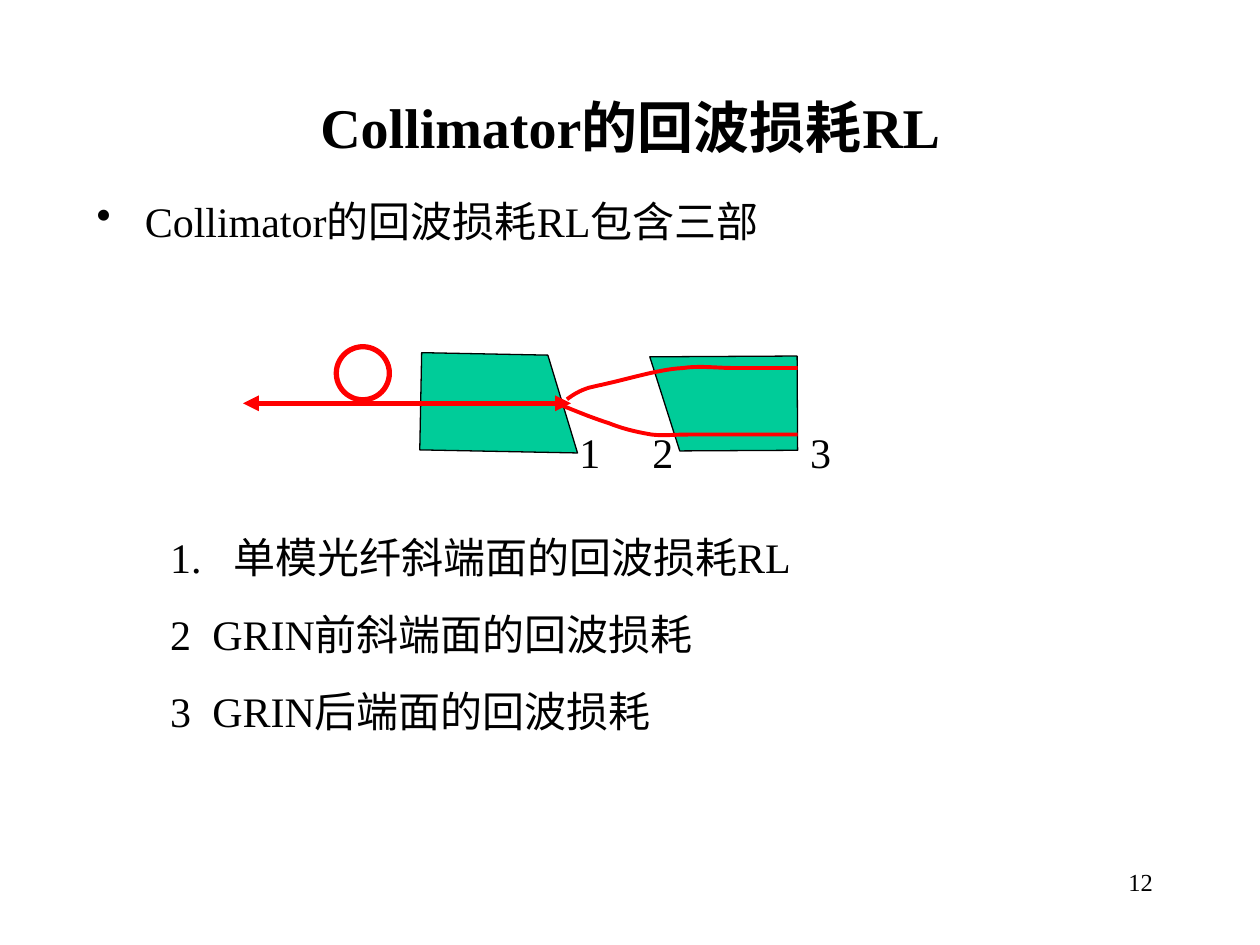
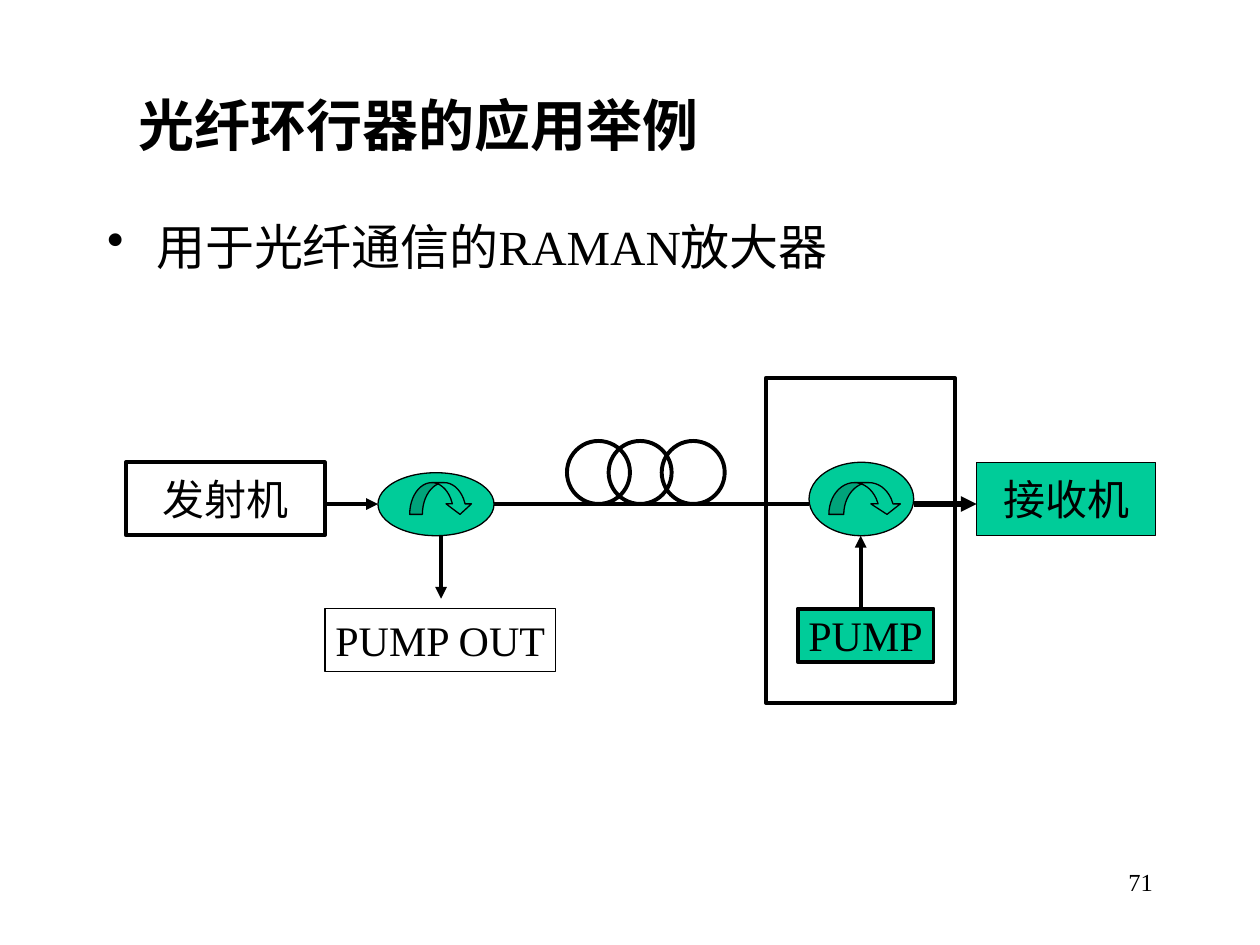
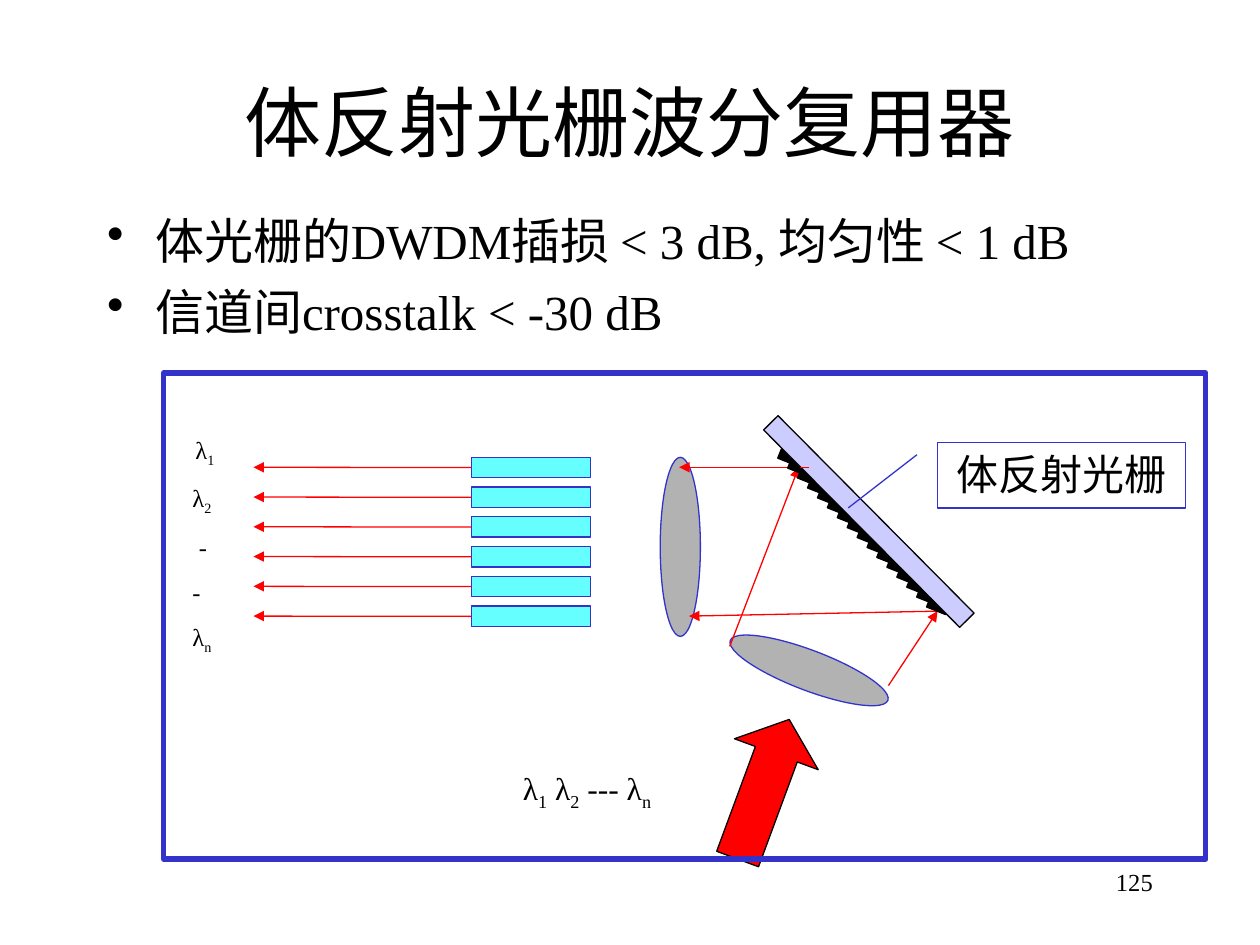
from dataclasses import dataclass

from lxml import etree
from pptx import Presentation
from pptx.dml.color import RGBColor
from pptx.enum.lang import MSO_LANGUAGE_ID
from pptx.enum.shapes import MSO_CONNECTOR, MSO_SHAPE
from pptx.enum.text import MSO_ANCHOR, PP_ALIGN
from pptx.oxml.ns import qn
from pptx.shapes.autoshape import Shape
from pptx.shapes.connector import Connector
from pptx.slide import Slide
from pptx.util import Cm, Pt

RECTANGLE = MSO_SHAPE.RECTANGLE
ELLIPSE = MSO_SHAPE.OVAL
SLANTED_BLOCK = MSO_SHAPE.FLOWCHART_MANUAL_INPUT
TURN_ARROW = MSO_SHAPE.CURVED_DOWN_ARROW
BLOCK_ARROW = MSO_SHAPE.RIGHT_ARROW
CALLOUT = MSO_SHAPE.LINE_CALLOUT_1
TOOTH = MSO_SHAPE.RIGHT_TRIANGLE
STRAIGHT = MSO_CONNECTOR.STRAIGHT
LEFT, CENTER, RIGHT = PP_ALIGN.LEFT, PP_ALIGN.CENTER, PP_ALIGN.RIGHT
TOP, MIDDLE = MSO_ANCHOR.TOP, MSO_ANCHOR.MIDDLE
CHINESE = MSO_LANGUAGE_ID.SIMPLIFIED_CHINESE
LEFT_SIDE = 1

Point = tuple[float, float]


# Theme and building blocks; lengths are centimetres, type and lines are points
@dataclass(frozen=True)
class Theme:
    font: str = "Times New Roman"
    black: str = "000000"
    red: str = "FF0000"
    green: str = "00CC99"
    blue: str = "3333CC"
    cyan: str = "66FFFF"
    lilac: str = "CCCCFF"
    grey: str = "B2B2B2"
    big_title: float = 44
    title: float = 32
    bullet: float = 28
    body: float = 24
    formula: float = 18
    small: float = 14
    thin: float = 0.75
    medium: float = 2.25
    thick: float = 3


THEME = Theme()


@dataclass(frozen=True)
class Box:
    x: float
    y: float
    w: float
    h: float


@dataclass(frozen=True)
class Para:
    """One paragraph; an underscore makes the next character a subscript."""
    text: str
    size: float = THEME.body
    bold: bool = False
    align: PP_ALIGN = LEFT
    before: float = 0
    indent: float = 0
    hang: float = 0
    bullet: bool = False


@dataclass(frozen=True)
class Figure:
    kind: MSO_SHAPE
    box: Box
    fill: str | None = None
    line: str = THEME.black
    weight: float = THEME.thin
    rotation: float = 0
    adjustments: tuple[float, ...] = ()
    label: str = ""
    anchor: MSO_ANCHOR = MIDDLE


@dataclass(frozen=True)
class Line:
    start: Point
    end: Point
    color: str = THEME.black
    weight: float = THEME.medium
    head: bool = False
    tail: bool = False


def add_span(para, text: str, source: Para, subscript: bool) -> None:
    if not text:
        return
    span = para.add_run()
    span.text = text
    formats = {"name": THEME.font, "size": Pt(source.size),
               "bold": source.bold, "language_id": CHINESE}
    for name, value in formats.items():
        setattr(span.font, name, value)
    span.font.color.rgb = RGBColor.from_string(THEME.black)
    if subscript:
        span._r.get_or_add_rPr().set("baseline", "-25000")


def write(frame, paras: list[Para], anchor: MSO_ANCHOR = TOP,
          wrap: bool = True, top_inset: float = 0.13) -> None:
    formats = {"word_wrap": wrap, "vertical_anchor": anchor,
               "margin_left": Cm(0.25), "margin_right": Cm(0.25),
               "margin_top": Cm(top_inset), "margin_bottom": Cm(0.13)}
    for name, value in formats.items():
        setattr(frame, name, value)
    for index, source in enumerate(paras):
        para = frame.add_paragraph() if index else frame.paragraphs[0]
        properties = para._p.get_or_add_pPr()
        properties.set("marL", str(Cm(source.indent + source.hang)))
        properties.set("indent", str(-Cm(source.hang)))
        if source.bullet:
            etree.SubElement(properties, qn("a:buChar")).set("char", "•")
        para.alignment = source.align
        para.space_before = Pt(source.before if index else 0)
        first, *others = source.text.split("_")
        add_span(para, first, source, False)
        for piece in others:
            add_span(para, piece[0], source, True)
            add_span(para, piece[1:], source, False)


def add_text(page: Slide, box: Box, paras: list[Para],
             anchor: MSO_ANCHOR = TOP, top_inset: float = 0.13) -> None:
    text_box = page.shapes.add_textbox(Cm(box.x), Cm(box.y), Cm(box.w), Cm(box.h))
    write(text_box.text_frame, paras, anchor, top_inset=top_inset)


def paint(shape: Shape, fill: str | None, line: str, weight: float) -> None:
    shape.shadow.inherit = False
    if fill:
        shape.fill.solid()
        shape.fill.fore_color.rgb = RGBColor.from_string(fill)
    else:
        shape.fill.background()
    shape.line.color.rgb = RGBColor.from_string(line)
    shape.line.width = Pt(weight)


def draw_figure(page: Slide, figure: Figure) -> Shape:
    box = figure.box
    shape = page.shapes.add_shape(figure.kind, Cm(box.x), Cm(box.y), Cm(box.w), Cm(box.h))
    paint(shape, figure.fill, figure.line, figure.weight)
    shape.rotation = figure.rotation
    for index, value in enumerate(figure.adjustments):
        shape.adjustments[index] = value
    if figure.label:
        write(shape.text_frame, [Para(figure.label, align=CENTER)], figure.anchor, wrap=False)
    return shape


def draw_line(page: Slide, line: Line) -> Connector:
    connector = page.shapes.add_connector(
        STRAIGHT, *(Cm(value) for value in (*line.start, *line.end)))
    connector.line.color.rgb = RGBColor.from_string(line.color)
    connector.line.width = Pt(line.weight)
    outline = connector.line._get_or_add_ln()
    for tag, shown in (("a:headEnd", line.head), ("a:tailEnd", line.tail)):
        if shown:
            etree.SubElement(outline, qn(tag)).set("type", "triangle")
    etree.SubElement(connector._element.spPr, qn("a:effectLst"))
    return connector


def draw_curve(page: Slide, points: list[Point], steps: int = 10) -> None:
    """Trace joined cubic curves: a start point, then three points a curve."""
    traced = []
    for first in range(0, len(points) - 1, 3):
        for step in range(1, steps + 1):
            t = step / steps
            weights = ((1 - t) ** 3, 3 * t * (1 - t) ** 2, 3 * t * t * (1 - t), t ** 3)
            corners = points[first:first + 4]
            traced.append(tuple(
                Cm(sum(weight * corner[axis] for weight, corner in zip(weights, corners)))
                for axis in (0, 1)))
    builder = page.shapes.build_freeform(Cm(points[0][0]), Cm(points[0][1]))
    builder.add_line_segments(traced, close=False)
    paint(builder.convert_to_shape(), None, THEME.red, THEME.medium)


def new_page(deck, number: int, title: Para, title_box: Box,
             anchor: MSO_ANCHOR = MIDDLE) -> Slide:
    page = deck.slides.add_slide(deck.slide_layouts[6])
    add_text(page, Box(18.21, 17.35, 5.28, 1.27),
             [Para(str(number), THEME.small, align=RIGHT)])
    add_text(page, title_box, [title], anchor)
    return page


# Return loss of a collimator
def build_collimator(deck) -> None:
    page = new_page(deck, 12, Para("Collimator的回波损耗RL", THEME.title, True, CENTER),
                    Box(1.91, 1.7, 21.59, 1.7))
    add_text(page, Box(1.7, 3.81, 21.59, 1.27),
             [Para("Collimator的回波损耗RL包含三部", hang=0.97, bullet=True)])

    # Fibre, its loop and the lens
    draw_figure(page, Figure(SLANTED_BLOCK, Box(9.09, 6.53, 1.96, 3.18),
                             THEME.green, rotation=91.1))
    draw_line(page, Line((4.9, 8.13), (11.51, 8.13), THEME.red, THEME.thick, True, True))
    draw_figure(page, Figure(ELLIPSE, Box(6.78, 6.99, 1.07, 1.07),
                             line=THEME.red, weight=THEME.thick))
    draw_figure(page, Figure(SLANTED_BLOCK, Box(13.64, 6.65, 1.9, 2.97),
                             THEME.green, rotation=269.7))

    # Upper and lower edge of the beam
    draw_curve(page, [(11.43, 8.05), (11.53, 7.98), (11.63, 7.9), (11.86, 7.82),
                      (12.07, 7.77), (12.4, 7.7), (12.7, 7.62),
                      (13.03, 7.54), (13.41, 7.44), (13.77, 7.42),
                      (14.12, 7.37), (14.43, 7.42), (14.81, 7.42),
                      (15.21, 7.42), (15.88, 7.42), (16.08, 7.42)])
    draw_curve(page, [(11.23, 8.13), (11.58, 8.28), (11.96, 8.43), (12.27, 8.53),
                      (12.6, 8.66), (12.85, 8.71), (13.13, 8.76),
                      (13.41, 8.79), (13.49, 8.76), (13.97, 8.76),
                      (14.45, 8.76), (15.72, 8.76), (16.08, 8.76)])

    # Face numbers and their key
    for number, x, width in (("1", 11.43, 0.84), ("2", 12.9, 1.27), ("3", 16.08, 1.27)):
        add_text(page, Box(x, 8.46, width, 1.27), [Para(number)])
    add_text(page, Box(3.18, 10.59, 17.58, 5.66), [
        Para("1.\t单模光纤斜端面的回波损耗RL", hang=1.27),
        Para("2\tGRIN前斜端面的回波损耗", before=15, hang=0.85),
        Para("3\tGRIN后端面的回波损耗", before=15, hang=0.85)])


# Circulators in a Raman amplifier
def build_amplifier(deck) -> None:
    page = new_page(deck, 71, Para("光纤环行器的应用举例", THEME.title, True),
                    Box(2.54, 1.7, 13.97, 1.63), TOP)
    add_text(page, Box(1.91, 4.24, 15.67, 1.45),
             [Para("用于光纤通信的RAMAN放大器", THEME.bullet, hang=0.99, bullet=True)])

    # Fibre span with its coil, and the signal and pump paths
    for x in (11.43, 12.27, 13.34):
        draw_figure(page, Figure(ELLIPSE, Box(x, 8.89, 1.27, 1.27), weight=THEME.medium))
    axis = 10.16
    for line in (
            Line((9.73, axis), (16.31, axis)),
            Line((6.55, axis), (7.62, axis), tail=True),
            Line((18.42, axis), (19.69, axis), weight=THEME.thick, tail=True),
            Line((8.89, 10.8), (8.89, 12.07), tail=True),
            Line((17.35, 12.27), (17.35, 10.8), tail=True)):
        draw_line(page, line)

    # Circulators, stations and the amplifier frame
    for figure in (
            Figure(ELLIPSE, Box(16.31, 9.32, 2.11, 1.48), THEME.green),
            Figure(TURN_ARROW, Box(16.71, 9.73, 1.47, 0.64), THEME.green,
                   adjustments=(0.47, 0.93, 0.33)),
            Figure(ELLIPSE, Box(7.62, 9.53, 2.34, 1.27), THEME.green),
            Figure(TURN_ARROW, Box(8.26, 9.73, 1.27, 0.64), THEME.green,
                   adjustments=(0.4, 0.8, 0.33)),
            Figure(RECTANGLE, Box(2.54, 9.32, 4.01, 1.47), weight=THEME.medium,
                   label="发射机"),
            Figure(RECTANGLE, Box(19.69, 9.32, 3.61, 1.47), THEME.green, label="接收机"),
            Figure(RECTANGLE, Box(16.08, 12.27, 2.74, 1.07), THEME.green,
                   weight=THEME.medium, label="PUMP"),
            Figure(RECTANGLE, Box(6.55, 12.27, 4.65, 1.27), label="PUMP OUT"),
            Figure(RECTANGLE, Box(15.44, 7.62, 3.81, 6.55), weight=THEME.medium)):
        draw_figure(page, figure)


# Bulk grating multiplexer
def build_grating(deck) -> None:
    page = new_page(deck, 125, Para("体反射光栅波分复用器", THEME.big_title, align=CENTER),
                    Box(1.91, 1.32, 21.59, 2.24))
    add_text(page, Box(1.91, 4.11, 21.59, 3), [
        Para(text, THEME.bullet, before=7, hang=0.97, bullet=True)
        for text in ("体光栅的DWDM插损 < 3 dB, 均匀性 < 1 dB", "信道间crosstalk < -30 dB")])

    # Grating plate, lenses and incoming light
    for figure in (
            Figure(RECTANGLE, Box(14.71, 10.31, 5.61, 0.41), THEME.lilac, rotation=45.2),
            Figure(ELLIPSE, Box(14.61, 13.11, 3.4, 0.81), THEME.grey, THEME.blue,
                   rotation=20.8),
            Figure(BLOCK_ARROW, Box(13.89, 15.01, 3, 1.8), THEME.red, rotation=290.3,
                   adjustments=(0.5, 0.415)),
            Figure(ELLIPSE, Box(13.31, 9.22, 0.81, 3.61), THEME.grey, THEME.blue)):
        draw_figure(page, figure)

    # Rays between the lenses and the grating
    for start, end in (((14.71, 13.03), (16.1, 9.42)), ((17.91, 13.82), (18.9, 12.32)),
                       ((18.9, 12.32), (13.89, 12.42)), ((16.31, 9.42), (13.69, 9.42))):
        draw_line(page, Line(start, end, THEME.red, THEME.thin, tail=True))

    # Output fibres, each with its beam
    for index in range(6):
        y = 9.22 + 0.6 * index
        fibre = draw_figure(page, Figure(RECTANGLE, Box(9.5, y, 2.41, 0.41),
                                         THEME.cyan, THEME.blue))
        beam = draw_line(page, Line((5.11, y + 0.2), (9.5, y + 0.2),
                                    THEME.red, THEME.thin, head=True))
        beam.end_connect(fibre, LEFT_SIDE)

    # Wavelengths
    add_text(page, Box(10.11, 15.32, 4.6, 1.19),
             [Para("λ_1 λ_2 --- λ_n", THEME.formula, indent=0.18)], top_inset=0.19)
    channels = (("λ_1", 0.18), ("λ_2", 0.12), ("-", 0.25), ("-", 0.12), ("λ_n", 0.12))
    add_text(page, Box(3.51, 8.43, 1.8, 4.93),
             [Para(text, THEME.small, before=8.8, indent=indent)
              for text, indent in channels], top_inset=0.33)

    # Callout and frame
    draw_figure(page, Figure(CALLOUT, Box(18.9, 8.92, 5, 1.32), line=THEME.blue,
                             adjustments=(0.188, -0.083, 1, -0.36),
                             label="体反射光栅", anchor=TOP))
    draw_figure(page, Figure(RECTANGLE, Box(3.3, 7.52, 21.01, 9.8),
                             line=THEME.blue, weight=THEME.thick))

    # Grating teeth: two runs that share the tooth where they meet
    for index in (*range(11), *range(10, 16)):
        offset = 0.2 * index
        draw_figure(page, Figure(TOOTH, Box(15.7 + offset, 9.12 + offset, 0.41, 0.2),
                                 THEME.black, rotation=21.8))


def main() -> None:
    deck = Presentation()
    deck.slide_width, deck.slide_height = Cm(25.4), Cm(19.05)
    for build in (build_collimator, build_amplifier, build_grating):
        build(deck)
    deck.save("out.pptx")


if __name__ == "__main__":
    main()
